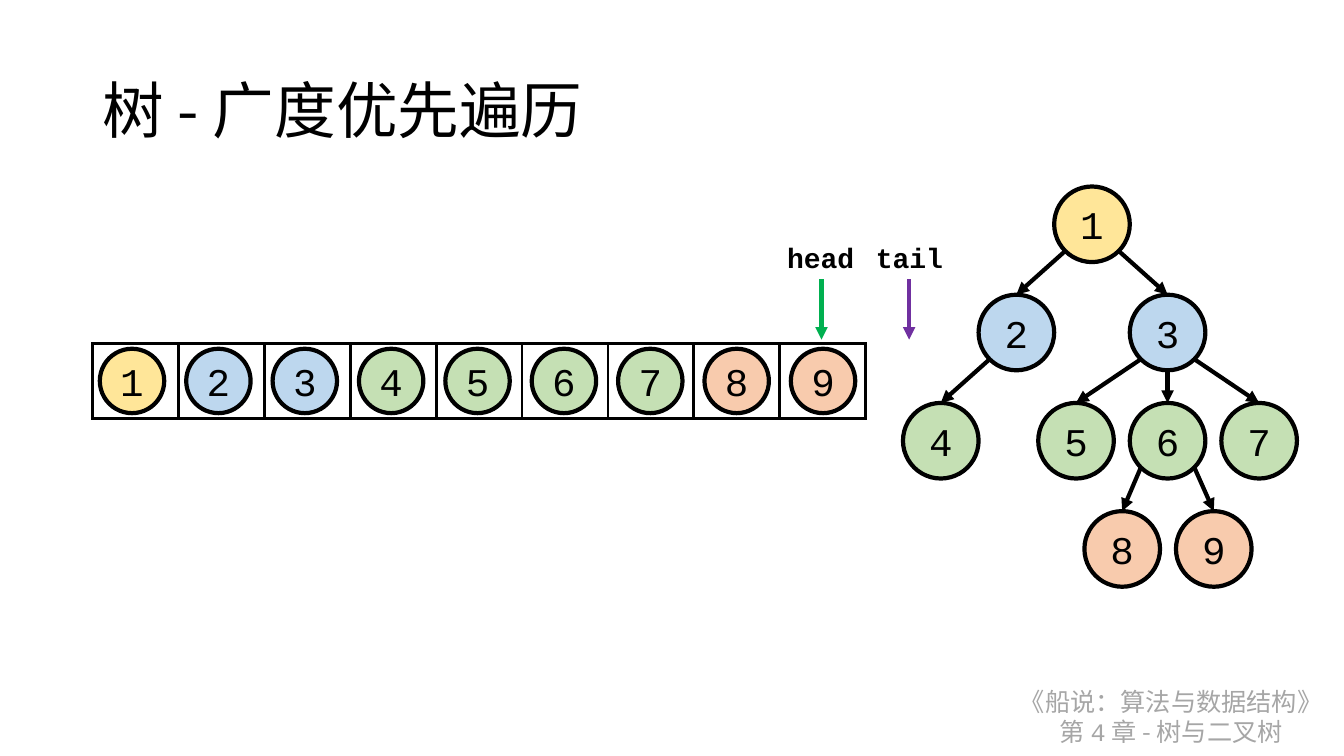
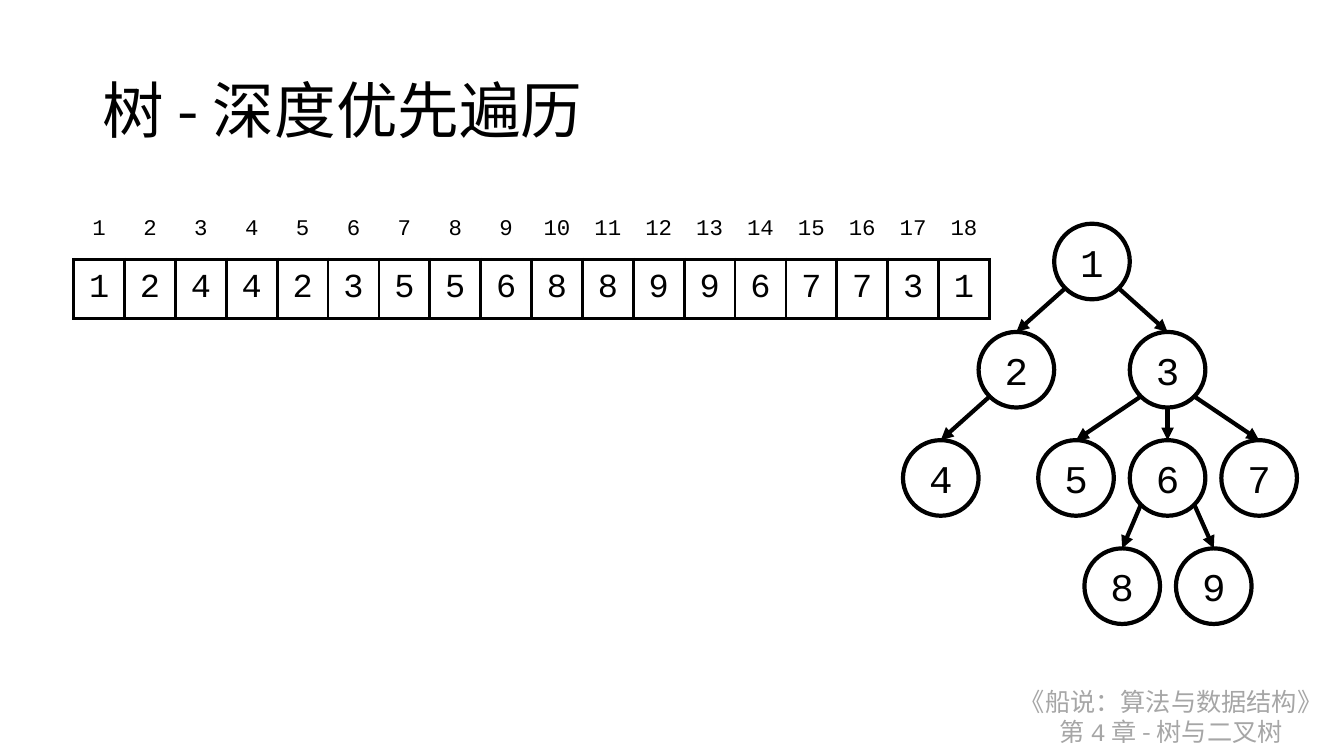
from dataclasses import dataclass
from typing import Any, Iterator, Optional

from lxml.etree import SubElement
from pptx import Presentation
from pptx.dml.color import RGBColor
from pptx.enum.shapes import MSO_CONNECTOR as Connector, MSO_SHAPE as Preset
from pptx.enum.text import MSO_ANCHOR as Anchor, PP_ALIGN as Align
from pptx.oxml import parse_xml
from pptx.oxml.ns import nsdecls, qn
from pptx.util import Pt

BLACK = RGBColor(0x00, 0x00, 0x00)
GRAY = RGBColor(0xA6, 0xA6, 0xA6)
GREEN = RGBColor(0x00, 0xB0, 0x50)
PURPLE = RGBColor(0x70, 0x30, 0xA0)
LEVEL_FILLS = (
    RGBColor(0xFF, 0xE6, 0x99),
    RGBColor(0xBD, 0xD7, 0xEE),
    RGBColor(0xC5, 0xE0, 0xB4),
    RGBColor(0xF8, 0xCB, 0xAD),
)

CJK = "Noto Sans CJK SC"
MONO = "Courier New"
TITLE_FORMAT = {"name": CJK, "size": Pt(44), "color": BLACK}
FOOTER_FORMAT = {"name": CJK, "size": Pt(18), "color": GRAY}
FOOTER_DIGIT_FORMAT = {**FOOTER_FORMAT, "name": MONO}
NODE_FORMAT = {"name": MONO, "size": Pt(28), "color": BLACK}
POINTER_FORMAT = {"name": MONO, "size": Pt(20), "color": BLACK, "bold": True}
STEP_FORMAT = {"name": MONO, "size": Pt(16), "color": BLACK}
VISIT_FORMAT = {"name": MONO, "size": Pt(24), "color": BLACK}

LINE_WIDTH = 3
BORDER_WIDTH = 2.25
NODE_SIZE = 54
LEVEL_PITCH = 77.3
DIAGONAL = 0.707

QUEUE_LEFT, QUEUE_TOP, QUEUE_HEIGHT, QUEUE_COLUMN = 66.2, 245.5, 53.3, 61.36
QUEUED_SIZE, QUEUED_LEFT, QUEUED_TOP, QUEUED_PITCH = 46, 71.3, 249.1, 61.7
TOUR_LEFT, TOUR_TOP, TOUR_ROW, TOUR_COLUMN = 52.6, 143, 42.2, 36.36


@dataclass(frozen=True)
class Node:
    number: int
    center: float
    level: int
    children: tuple[int, ...] = ()


@dataclass(frozen=True)
class Pointer:
    name: str
    label_left: float
    arrow_x: float
    color: RGBColor


TREE = {
    node.number: node
    for node in (
        Node(1, 780, 0, (2, 3)),
        Node(2, 726, 1, (4,)),
        Node(3, 834, 1, (5, 6, 7)),
        Node(4, 672, 2),
        Node(5, 768.6, 2),
        Node(6, 834, 2, (8, 9)),
        Node(7, 899.4, 2),
        Node(8, 801.6, 3),
        Node(9, 867, 3),
    )
}
POINTERS = (
    Pointer("head", 555.1, 586.8, GREEN),
    Pointer("tail", 618.5, 649.4, PURPLE),
)


def add_run(paragraph: Any, text: str, format_values: dict[str, Any]) -> None:
    run = paragraph.add_run()
    run.text = text
    for name, value in format_values.items():
        if name == "color":
            run.font.color.rgb = value
        else:
            setattr(run.font, name, value)
    east_asian = SubElement(run._r.get_or_add_rPr(), qn("a:ea"))
    east_asian.set("typeface", format_values["name"])


def add_text_box(slide: Any, left: float, top: float, width: float,
                 height: float, wrap: bool = False) -> Any:
    box = slide.shapes.add_textbox(Pt(left), Pt(top), Pt(width), Pt(height))
    box.text_frame.word_wrap = wrap
    return box.text_frame


def add_title(slide: Any, title: str) -> None:
    frame = add_text_box(slide, 66, 28.8, 828, 104.4, wrap=True)
    frame.vertical_anchor = Anchor.MIDDLE
    paragraph = frame.paragraphs[0]
    paragraph.line_spacing = 0.9
    add_run(paragraph, title, TITLE_FORMAT)


def add_footer(slide: Any) -> None:
    frame = add_text_box(slide, 717.8, 486.7, 237.6, 51.1)
    book, chapter = frame.paragraphs[0], frame.add_paragraph()
    book.alignment = chapter.alignment = Align.CENTER
    add_run(book, "《船说：算法与数据结构》", FOOTER_FORMAT)
    add_run(chapter, "第 ", FOOTER_FORMAT)
    add_run(chapter, "4", FOOTER_DIGIT_FORMAT)
    add_run(chapter, " 章 - 树与二叉树", FOOTER_FORMAT)


def add_circle(slide: Any, left: float, top: float, size: float, number: int,
               fill: Optional[RGBColor]) -> None:
    circle = slide.shapes.add_shape(
        Preset.OVAL, Pt(left), Pt(top), Pt(size), Pt(size))
    circle.shadow.inherit = False
    if fill is None:
        circle.fill.background()
    else:
        circle.fill.solid()
        circle.fill.fore_color.rgb = fill
    circle.line.color.rgb = BLACK
    circle.line.width = Pt(LINE_WIDTH)
    circle.text_frame.vertical_anchor = Anchor.MIDDLE
    paragraph = circle.text_frame.paragraphs[0]
    paragraph.alignment = Align.CENTER
    add_run(paragraph, str(number), NODE_FORMAT)


def add_arrow(slide: Any, start: tuple[float, float], end: tuple[float, float],
              color: RGBColor = BLACK) -> None:
    arrow = slide.shapes.add_connector(
        Connector.STRAIGHT, *(Pt(value) for value in (*start, *end)))
    arrow.line.color.rgb = color
    arrow.line.width = Pt(LINE_WIDTH)
    properties = arrow.element.spPr
    SubElement(properties.find(qn("a:ln")), qn("a:tailEnd")).set("type", "triangle")
    SubElement(properties, qn("a:effectLst"))


def add_tree(slide: Any, top: float, colored: bool) -> None:
    """Draw the nodes, then an arrow from each rim to the top of each child."""
    radius = NODE_SIZE / 2
    for node in TREE.values():
        add_circle(slide, node.center - radius, top + node.level * LEVEL_PITCH,
                   NODE_SIZE, node.number,
                   LEVEL_FILLS[node.level] if colored else None)
    for node in TREE.values():
        middle = top + node.level * LEVEL_PITCH + radius
        for child in (TREE[number] for number in node.children):
            side = (child.center > node.center) - (child.center < node.center)
            drop = radius * DIAGONAL if side else radius
            add_arrow(slide,
                      (node.center + side * radius * DIAGONAL, middle + drop),
                      (child.center, top + child.level * LEVEL_PITCH))


def add_plain_table(slide: Any, left: float, top: float, column_width: float,
                    row_height: float, rows: int, columns: int) -> Any:
    """Add a table without banding or fills."""
    table = slide.shapes.add_table(
        rows, columns, Pt(left), Pt(top),
        Pt(column_width * columns), Pt(row_height * rows)).table
    table.first_row = table.horz_banding = False
    for column in table.columns:
        column.width = Pt(column_width)
    for row in table.rows:
        row.height = Pt(row_height)
    for cell in table.iter_cells():
        cell.fill.background()
        cell.vertical_anchor = Anchor.MIDDLE
    return table


def add_borders(cell: Any, sides: str = "LRTB") -> None:
    for position, side in enumerate(sides):
        border = parse_xml(
            f'<a:ln{side} {nsdecls("a")} w="{Pt(BORDER_WIDTH)}"><a:solidFill>'
            f'<a:srgbClr val="{BLACK}"/></a:solidFill></a:ln{side}>')
        cell._tc.get_or_add_tcPr().insert(position, border)


def add_queue(slide: Any) -> None:
    table = add_plain_table(slide, QUEUE_LEFT, QUEUE_TOP, QUEUE_COLUMN,
                            QUEUE_HEIGHT, 1, len(TREE))
    for cell in table.iter_cells():
        add_borders(cell)
    for index, node in enumerate(TREE.values()):
        add_circle(slide, QUEUED_LEFT + index * QUEUED_PITCH, QUEUED_TOP,
                   QUEUED_SIZE, node.number, LEVEL_FILLS[node.level])


def add_pointer(slide: Any, pointer: Pointer) -> None:
    frame = add_text_box(slide, pointer.label_left, 168.5, 63.4, 31.7)
    add_run(frame.paragraphs[0], pointer.name, POINTER_FORMAT)
    add_arrow(slide, (pointer.arrow_x, 199.5), (pointer.arrow_x, 242.6),
              pointer.color)


def depth_first_tour(number: int) -> Iterator[int]:
    """Yield each node once on entering it and once on leaving it."""
    yield number
    for child in TREE[number].children:
        yield from depth_first_tour(child)
    yield number


def add_tour(slide: Any) -> None:
    visits = list(depth_first_tour(1))
    table = add_plain_table(slide, TOUR_LEFT, TOUR_TOP, TOUR_COLUMN,
                            TOUR_ROW, 2, len(visits))
    for column, visit in enumerate(visits):
        step_cell, visit_cell = table.cell(0, column), table.cell(1, column)
        for cell, value, format_values in (
            (step_cell, column + 1, STEP_FORMAT),
            (visit_cell, visit, VISIT_FORMAT),
        ):
            paragraph = cell.text_frame.paragraphs[0]
            paragraph.alignment = Align.CENTER
            add_run(paragraph, str(value), format_values)
        add_borders(step_cell, "B")
        add_borders(visit_cell)


def add_slide(presentation: Any, title: str) -> Any:
    slide = presentation.slides.add_slide(presentation.slide_layouts[6])
    add_footer(slide)
    add_title(slide, title)
    return slide


def main() -> None:
    presentation = Presentation()
    presentation.slide_width, presentation.slide_height = Pt(960), Pt(540)

    breadth_slide = add_slide(presentation, "树 - 广度优先遍历")
    add_tree(breadth_slide, top=133.2, colored=True)
    add_queue(breadth_slide)
    for pointer in POINTERS:
        add_pointer(breadth_slide, pointer)

    depth_slide = add_slide(presentation, "树 - 深度优先遍历")
    add_tree(depth_slide, top=159.8, colored=False)
    add_tour(depth_slide)

    presentation.save("out.pptx")


if __name__ == "__main__":
    main()
